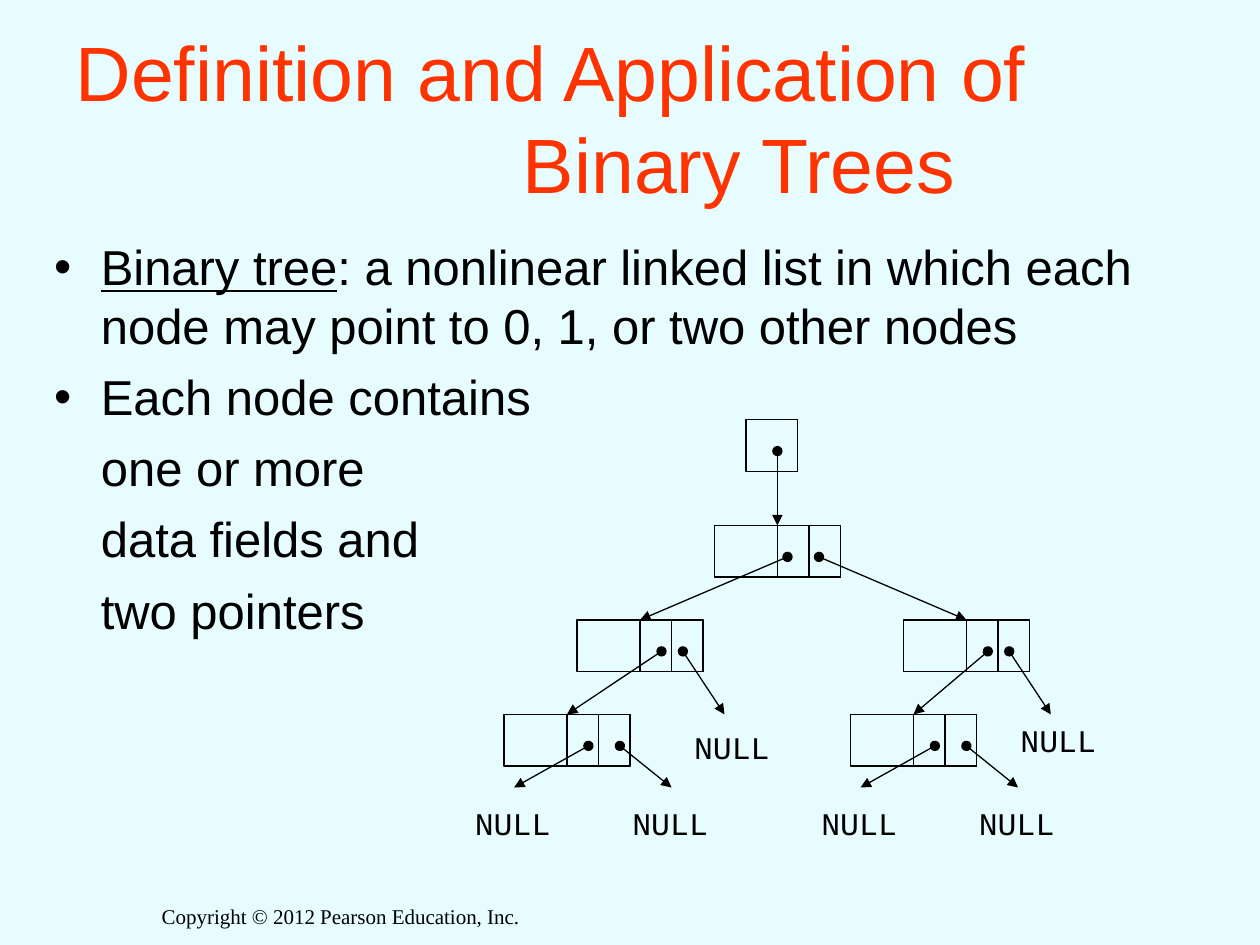
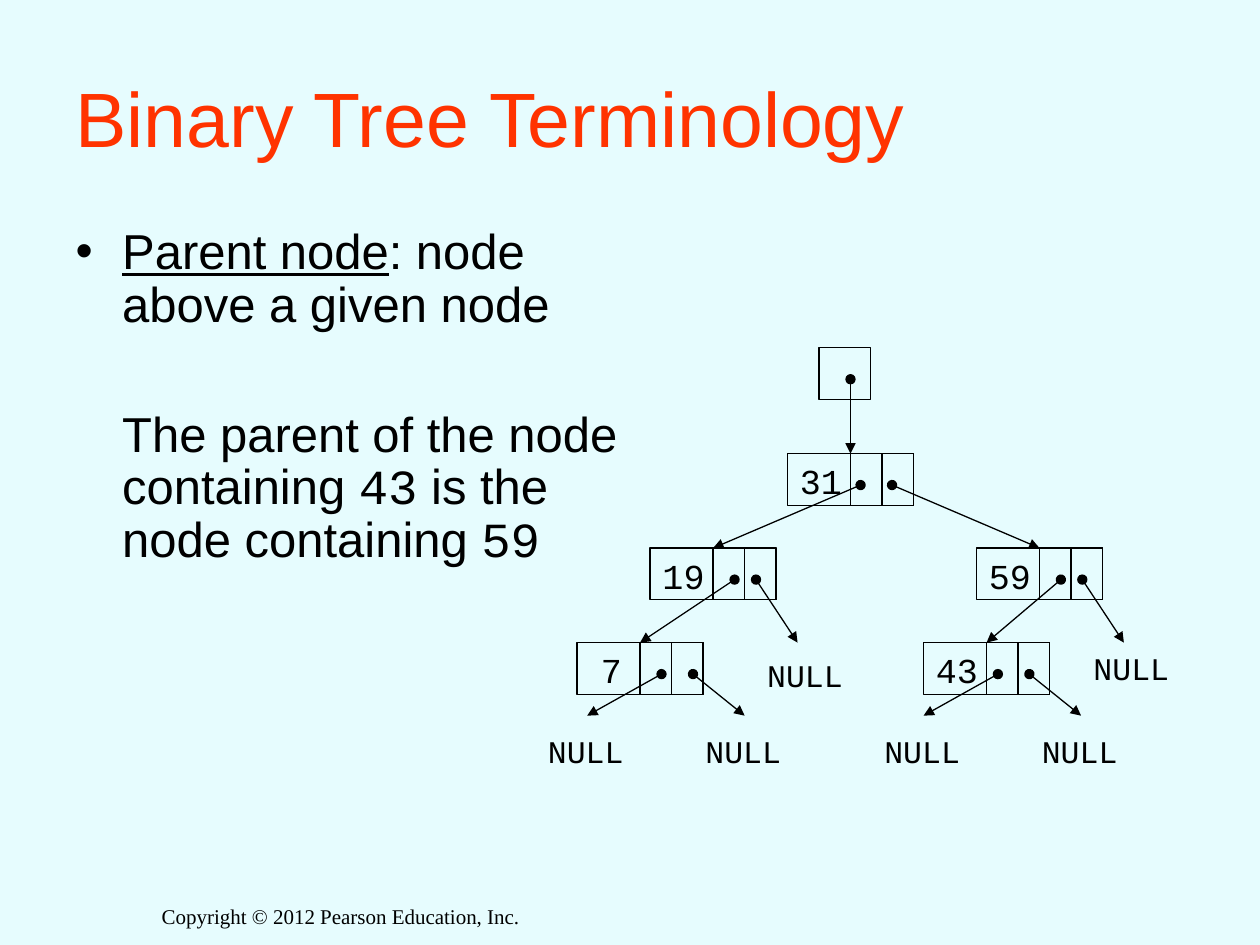
from dataclasses import dataclass

from lxml.etree import SubElement
from pptx import Presentation
from pptx.dml.color import RGBColor
from pptx.enum.shapes import MSO_CONNECTOR, MSO_SHAPE
from pptx.enum.text import MSO_ANCHOR, MSO_AUTO_SIZE, PP_ALIGN
from pptx.oxml.ns import qn
from pptx.shapes.shapetree import GroupShapes
from pptx.slide import Slide, SlideLayout
from pptx.text.text import TextFrame, _Run
from pptx.util import Inches, Pt

BACKGROUND = RGBColor(0xE6, 0xFC, 0xFE)
TITLE_RED = RGBColor(0xFF, 0x33, 0x00)
BLACK = RGBColor(0x00, 0x00, 0x00)
SANS, MONO, SERIF = "Arial", "Courier New", "Times New Roman"

CELL_HEIGHT = 0.41
NODE_WIDTH = 1.0
POINTER_WIDTH = 0.25
DATA_WIDTH = NODE_WIDTH - 2 * POINTER_WIDTH
DOT_DROP = 0.25
LINE_WIDTH = Pt(0.75)
ROOT_Y, MIDDLE_Y, LEAF_Y = 0.84, 1.59, 2.34


@dataclass(frozen=True)
class Span:
    text: str
    font: str = SANS
    underline: bool = False


@dataclass(frozen=True)
class BodyParagraph:
    spans: tuple[Span, ...]
    bullet: bool = False
    space_before: float = 7


@dataclass(frozen=True)
class TitleLine:
    text: str
    indent: float = 0


@dataclass(frozen=True)
class Target:
    """End of a pointer arrow, with the place of its NULL label if it has one."""
    x: float
    y: float
    null_at: tuple[float, float] | None = None


@dataclass(frozen=True)
class Node:
    """Tree node; its place is relative to the root pointer box."""
    x: float
    y: float
    dots: tuple[float, float]
    targets: tuple[Target, Target]


def child(x: float, y: float) -> Target:
    return Target(x + DATA_WIDTH, y)


def leaf(x: float, y: float, pointer_shift: float = 0) -> Node:
    """Node with two NULL pointers, which may be shifted against its cells."""
    start = x + pointer_shift
    left = Target(start + 0.08, y + 0.58, (start - 0.33, y + 0.66))
    right = Target(start + 1.33, y + 0.58, (start + 0.92, y + 0.66))
    return Node(x, y, (0.67 + pointer_shift, 0.92 + pointer_shift), (left, right))


def half_full(x: float, y: float, left_child: Target, null_drop: float) -> Node:
    """Node with a left child and a NULL right pointer."""
    null = Target(x + 1.17, y + 0.75, (x + 0.83, y + null_drop))
    return Node(x, y, (0.67, 0.84), (left_child, null))


def tree_nodes(right_leaf_shift: float) -> tuple[Node, ...]:
    return (
        Node(-0.25, ROOT_Y, (0.58, 0.83), (child(-1.34, MIDDLE_Y), child(1.25, MIDDLE_Y))),
        half_full(-1.34, MIDDLE_Y, child(-1.92, LEAF_Y), 0.81),
        half_full(1.25, MIDDLE_Y, child(0.83, LEAF_Y), 0.75),
        leaf(-1.92, LEAF_Y),
        leaf(0.83, LEAF_Y, right_leaf_shift),
    )


def style_run(run: _Run, font: str, size: float, color: RGBColor = BLACK) -> None:
    run.font.name = font
    run.font.size = Pt(size)
    run.font.color.rgb = color


def prepare_layout(presentation: Presentation) -> SlideLayout:
    presentation.slide_master.background.fill.solid()
    presentation.slide_master.background.fill.fore_color.rgb = BACKGROUND
    layout = presentation.slide_layouts[1]
    title = layout.placeholders[0]
    title.left, title.top = Inches(0.5), Inches(0.3)
    title.width, title.height = Inches(9), Inches(1.25)
    return layout


def add_footer(slide: Slide) -> None:
    """Put the copyright line on the layout of the slide, so all slides show it."""
    footer = slide.shapes.add_textbox(Inches(1.08), Inches(7.12), Inches(3.25), Inches(0.35))
    footer.text_frame.word_wrap = True
    footer.text_frame.text = "Copyright © 2012 Pearson Education, Inc."
    paragraph = footer.text_frame.paragraphs[0]
    paragraph.alignment = PP_ALIGN.CENTER
    style_run(paragraph.runs[0], SERIF, 12)
    footer.element.nvSpPr.cNvPr.set("id", "20")
    slide.slide_layout.element.cSld.spTree.append(footer.element)


def fill_title(frame: TextFrame, lines: tuple[TitleLine, ...]) -> None:
    frame.text = "\n".join(line.text for line in lines)
    frame.vertical_anchor = MSO_ANCHOR.MIDDLE
    frame.auto_size = MSO_AUTO_SIZE.NONE
    for paragraph, line in zip(frame.paragraphs, lines):
        paragraph.alignment = PP_ALIGN.LEFT
        paragraph._p.get_or_add_pPr().set("marL", str(Inches(line.indent)))
        style_run(paragraph.runs[0], SANS, 44, TITLE_RED)


def fill_body(frame: TextFrame, body: tuple[BodyParagraph, ...], line_spacing: float) -> None:
    frame.text = "\n" * (len(body) - 1)
    frame.auto_size = MSO_AUTO_SIZE.NONE
    for paragraph, content in zip(frame.paragraphs, body):
        properties = paragraph._p.get_or_add_pPr()
        properties.set("marL", str(Inches(0.37)))
        properties.set("indent", str(Inches(-0.37 if content.bullet else 0)))
        if content.bullet:
            SubElement(properties, qn("a:buChar")).set("char", "•")
        else:
            SubElement(properties, qn("a:buNone"))
        paragraph.line_spacing = line_spacing
        paragraph.space_before = Pt(content.space_before)
        for span in content.spans:
            run = paragraph.add_run()
            run.text = span.text
            style_run(run, span.font, 28)
            run.font.underline = span.underline


def add_cell(shapes: GroupShapes, x: float, y: float, width: float) -> None:
    cell = shapes.add_shape(MSO_SHAPE.RECTANGLE, Inches(x), Inches(y),
                            Inches(width), Inches(CELL_HEIGHT))
    cell.shadow.inherit = False
    cell.fill.background()
    cell.line.color.rgb = BLACK
    cell.line.width = LINE_WIDTH


def add_pointer(shapes: GroupShapes, x: float, y: float, end_x: float, end_y: float) -> None:
    arrow = shapes.add_connector(MSO_CONNECTOR.STRAIGHT, Inches(x), Inches(y),
                                 Inches(end_x), Inches(end_y))
    arrow.line.color.rgb = BLACK
    arrow.line.width = LINE_WIDTH
    line = arrow.line._get_or_add_ln()
    SubElement(line, qn("a:headEnd")).set("type", "oval")
    SubElement(line, qn("a:tailEnd")).set("type", "triangle")
    SubElement(arrow.element.spPr, qn("a:effectLst"))


def add_label(shapes: GroupShapes, text: str, x: float, y: float,
              width: float, height: float, size: float) -> None:
    label = shapes.add_textbox(Inches(x), Inches(y), Inches(width), Inches(height))
    frame = label.text_frame
    frame.word_wrap = False
    frame.auto_size = MSO_AUTO_SIZE.SHAPE_TO_FIT_TEXT
    frame.text = text
    style_run(frame.paragraphs[0].runs[0], MONO, size)


def add_tree(slide: Slide, left: float, top: float, values: tuple[str, ...] = (),
             right_leaf_shift: float = 0) -> None:
    shapes = slide.shapes.add_group_shape().shapes
    nodes = tree_nodes(right_leaf_shift)
    add_cell(shapes, left, top, CELL_HEIGHT)
    for node in nodes:
        x, y = left + node.x, top + node.y
        add_cell(shapes, x, y, NODE_WIDTH)
        for column in range(2):
            add_cell(shapes, x + DATA_WIDTH + column * POINTER_WIDTH, y, POINTER_WIDTH)

    add_pointer(shapes, left + 0.25, top + DOT_DROP, left + 0.25, top + ROOT_Y)
    for node in nodes:
        for dot, target in zip(node.dots, node.targets):
            add_pointer(shapes, left + node.x + dot, top + node.y + DOT_DROP,
                        left + target.x, top + target.y)
            if target.null_at:
                null_x, null_y = target.null_at
                add_label(shapes, "NULL", left + null_x, top + null_y, 0.81, 0.4, 18)

    for node, value in zip(nodes, values):
        width = 0.22 + 0.17 * len(value)
        inset = 0.09 if len(value) == 1 else 0
        add_label(shapes, value, left + node.x + inset, top + node.y, width, 0.44, 20)


def add_text_slide(presentation: Presentation, layout: SlideLayout,
                   title: tuple[TitleLine, ...], body: tuple[BodyParagraph, ...],
                   body_box: tuple[float, float, float, float],
                   line_spacing: float = 1.0) -> Slide:
    slide = presentation.slides.add_slide(layout)
    fill_title(slide.shapes.title.text_frame, title)
    placeholder = slide.placeholders[1]
    (placeholder.left, placeholder.top,
     placeholder.width, placeholder.height) = map(Inches, body_box)
    fill_body(placeholder.text_frame, body, line_spacing)
    return slide


def main() -> None:
    presentation = Presentation()
    presentation.slide_width, presentation.slide_height = Inches(10), Inches(7.5)
    layout = prepare_layout(presentation)

    definition = add_text_slide(
        presentation, layout,
        (TitleLine("Definition and Application of"), TitleLine("Binary Trees", 3.55)),
        (
            BodyParagraph((
                Span("Binary tree", underline=True),
                Span(": a nonlinear linked list in which each node may point to "
                     "0, 1, or two other nodes"),
            ), bullet=True, space_before=0),
            BodyParagraph((Span("Each node contains"),), bullet=True),
            BodyParagraph((Span("one or more"),)),
            BodyParagraph((Span("data fields and"),)),
            BodyParagraph((Span("two pointers"),)),
        ),
        (0.33, 1.83, 9.17, 4.58),
    )
    add_footer(definition)
    add_tree(definition, 5.92, 3.33)

    terminology = add_text_slide(
        presentation, layout,
        (TitleLine("Binary Tree Terminology"),),
        (
            BodyParagraph((
                Span("Parent node", underline=True),
                Span(": node above a given node"),
            ), bullet=True, space_before=0),
            BodyParagraph((
                Span("The parent of the node containing "),
                Span("43", MONO),
                Span(" is the node containing "),
                Span("59", MONO),
            ), space_before=44),
        ),
        (0.5, 1.75, 4.54, 4.5),
        line_spacing=0.9,
    )
    add_tree(terminology, 6.5, 2.76, ("31", "19", "59", "7", "43"), right_leaf_shift=-0.08)

    presentation.save("out.pptx")


if __name__ == "__main__":
    main()
